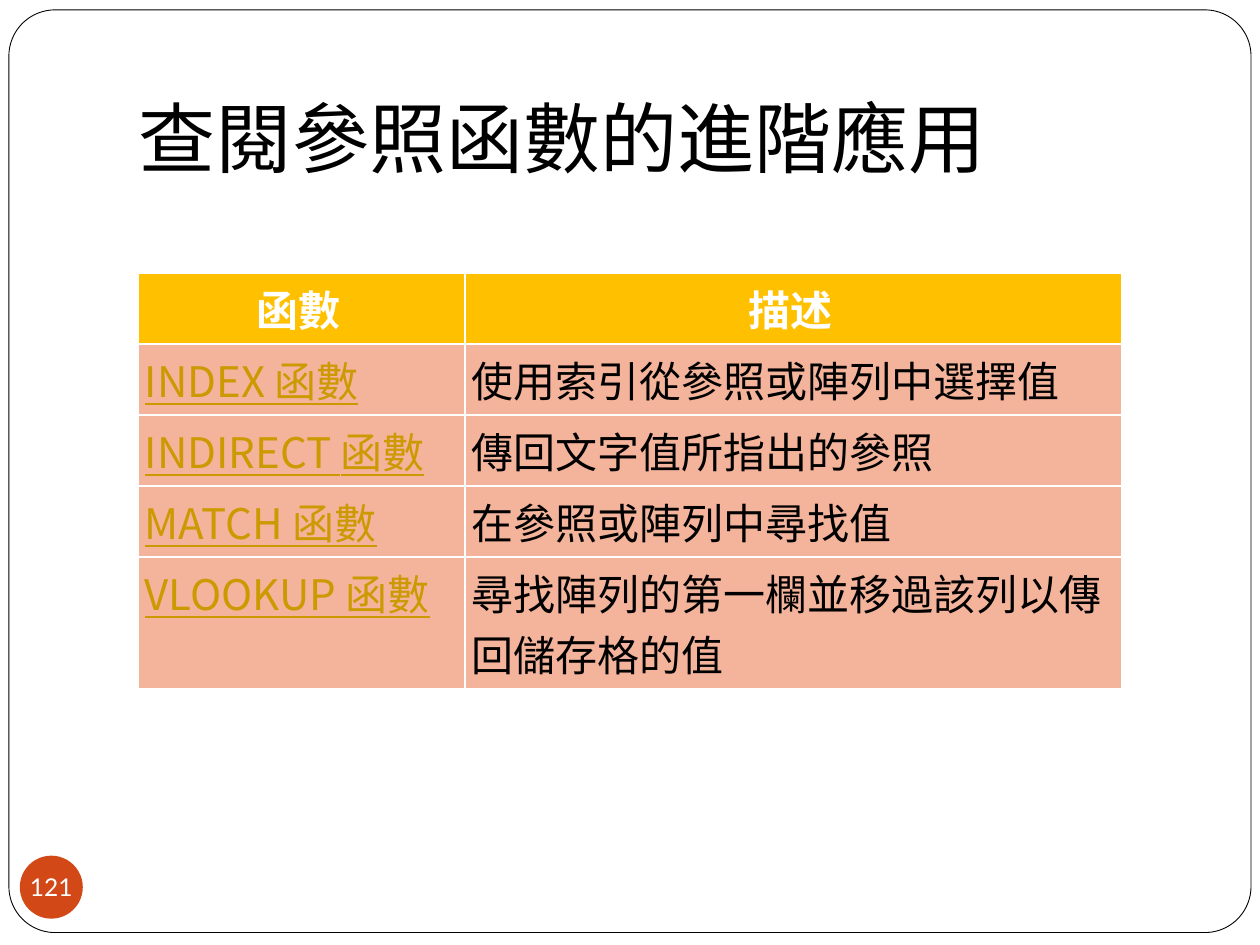
import pptx
import pptx.dml.color
import pptx.enum.shapes
import pptx.enum.text
import pptx.oxml.ns
import pptx.util
from lxml import etree

Cm = pptx.util.Cm
Pt = pptx.util.Pt
RGBColor = pptx.dml.color.RGBColor
MSO_SHAPE = pptx.enum.shapes.MSO_SHAPE
PP_ALIGN = pptx.enum.text.PP_ALIGN
MSO_ANCHOR = pptx.enum.text.MSO_ANCHOR

BLACK = RGBColor(0x00, 0x00, 0x00)
WHITE = RGBColor(0xFF, 0xFF, 0xFF)
AMBER = RGBColor(0xFF, 0xC0, 0x00)
SALMON = RGBColor(0xF4, 0xB3, 0x9B)
GOLD = RGBColor(0xCC, 0x99, 0x00)
RUST = RGBColor(0xD3, 0x48, 0x17)
CJK = "Noto Sans CJK SC"

HEADER = ("函數", "描述")
FUNCTIONS = (
    ("INDEX 函數", "使用索引從參照或陣列中選擇值"),
    ("INDIRECT 函數", "傳回文字值所指出的參照"),
    ("MATCH 函數", "在參照或陣列中尋找值"),
    ("VLOOKUP 函數", "尋找陣列的第一欄並移過該列以傳回儲存格的值"),
)


def write(tf, text, size=24, font=CJK, color=BLACK, bold=False,
          underline=False, align=PP_ALIGN.LEFT):
    """Put one formatted run of text in the first paragraph of a text frame."""
    p = tf.paragraphs[0]
    p.alignment = align
    r = p.add_run()
    r.text = text
    r.font.size = Pt(size)
    r.font.name = font
    r.font.bold = bold
    r.font.underline = underline
    r.font.color.rgb = color
    ea = etree.SubElement(r.font._element, pptx.oxml.ns.qn("a:ea"))
    ea.set("typeface", font)


def set_margins(box, left, top, right, bottom):
    """Set the inner margins of a text frame or table cell in centimetres."""
    box.margin_left, box.margin_top = Cm(left), Cm(top)
    box.margin_right, box.margin_bottom = Cm(right), Cm(bottom)


def add_frame(s, x, y, w, h):
    """Draw the rounded slide border behind the title."""
    sp = s.shapes.add_shape(MSO_SHAPE.ROUNDED_RECTANGLE, Cm(x), Cm(y), Cm(w), Cm(h))
    sp.adjustments[0] = 0.05
    sp.shadow.inherit = False
    sp.fill.solid()
    sp.fill.fore_color.rgb = WHITE
    sp.line.color.rgb = BLACK
    sp.line.width = Pt(0.5)
    s.shapes.title.element.addprevious(sp.element)


def add_title(s, text, x, y, w, h):
    """Place and format the title placeholder."""
    sp = s.shapes.title
    sp.left, sp.top, sp.width, sp.height = Cm(x), Cm(y), Cm(w), Cm(h)
    tf = sp.text_frame
    tf.word_wrap = True
    tf.auto_size = pptx.enum.text.MSO_AUTO_SIZE.NONE
    tf.vertical_anchor = MSO_ANCHOR.BOTTOM
    set_margins(tf, 0.25, 0.13, 0.25, 0.25)
    write(tf, text, size=44)


def add_function_table(s, x, y, w, h):
    """Add the table of functions, with the name column a third of its width."""
    rows = (HEADER,) + FUNCTIONS
    table = s.shapes.add_table(len(rows), 2, Cm(x), Cm(y), Cm(w), Cm(h)).table
    table.columns[0].width = Cm(w * 0.332)
    table.columns[1].width = Cm(w * 0.668)
    header = dict(color=WHITE, bold=True, align=PP_ALIGN.CENTER)
    body = (dict(color=GOLD, underline=True), dict(color=BLACK))
    for i, row in enumerate(rows):
        for j, text in enumerate(row):
            cell = table.cell(i, j)
            cell.fill.solid()
            cell.fill.fore_color.rgb = SALMON if i else AMBER
            set_margins(cell, 0.13, 0.1, 0.25, 0.1)
            write(cell.text_frame, text, **(body[j] if i else header))


def add_page_number(s, text, x, y, d):
    """Draw the round page number badge."""
    sp = s.shapes.add_shape(MSO_SHAPE.OVAL, Cm(x), Cm(y), Cm(d), Cm(d))
    sp.shadow.inherit = False
    sp.fill.solid()
    sp.fill.fore_color.rgb = RUST
    sp.line.fill.background()
    tf = sp.text_frame
    tf.word_wrap = False
    tf.vertical_anchor = MSO_ANCHOR.MIDDLE
    set_margins(tf, 0, 0, 0, 0)
    write(tf, text, size=14, font="Lato", color=WHITE, align=PP_ALIGN.CENTER)


def main():
    """Build the slide and save it."""
    prs = pptx.Presentation()
    prs.slide_width, prs.slide_height = Cm(25.4), Cm(19.05)
    s = prs.slides.add_slide(prs.slide_layouts[5])
    add_frame(s, 0.18, 0.2, 25.04, 18.6)
    add_title(s, "查閱參照函數的進階應用", 2.54, 0.76, 21.6, 3.18)
    add_function_table(s, 2.79, 5.5, 19.82, 7.16)
    add_page_number(s, "121", 0.4, 17.25, 1.27)
    prs.save("out.pptx")


if __name__ == "__main__":
    main()
